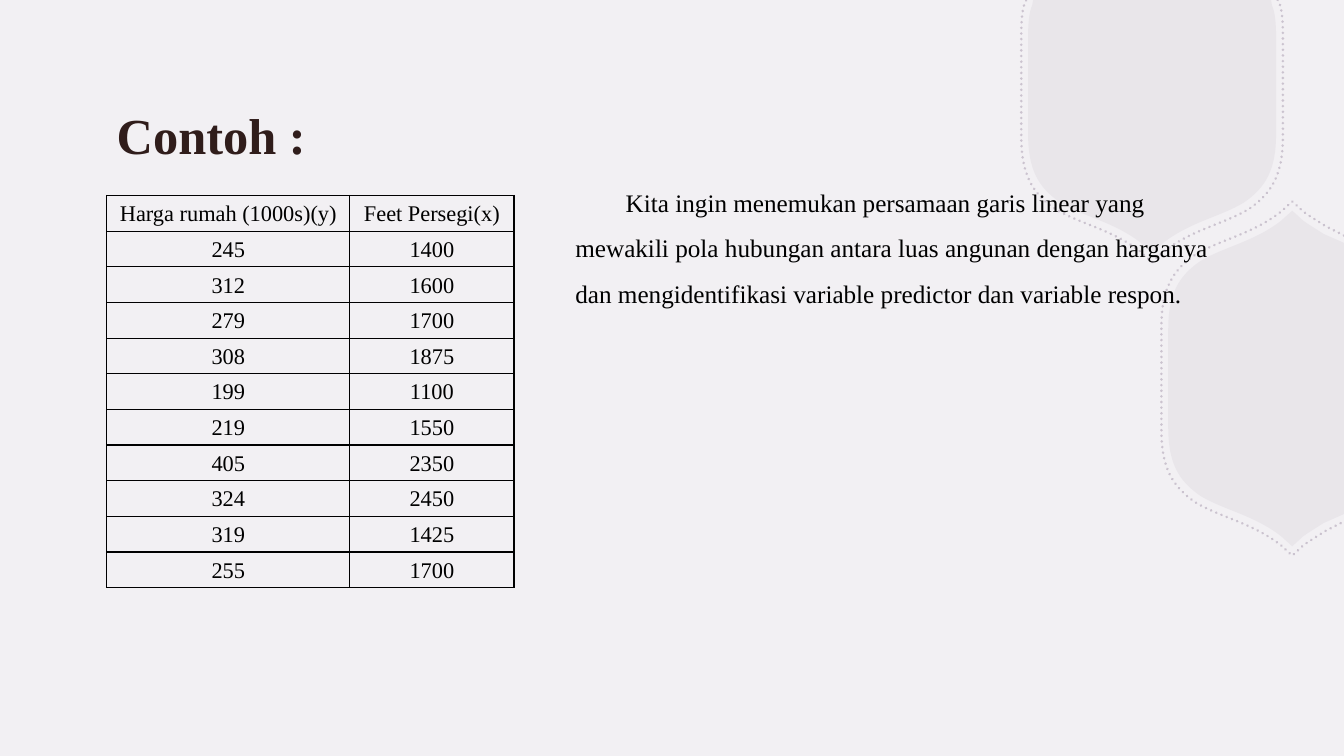
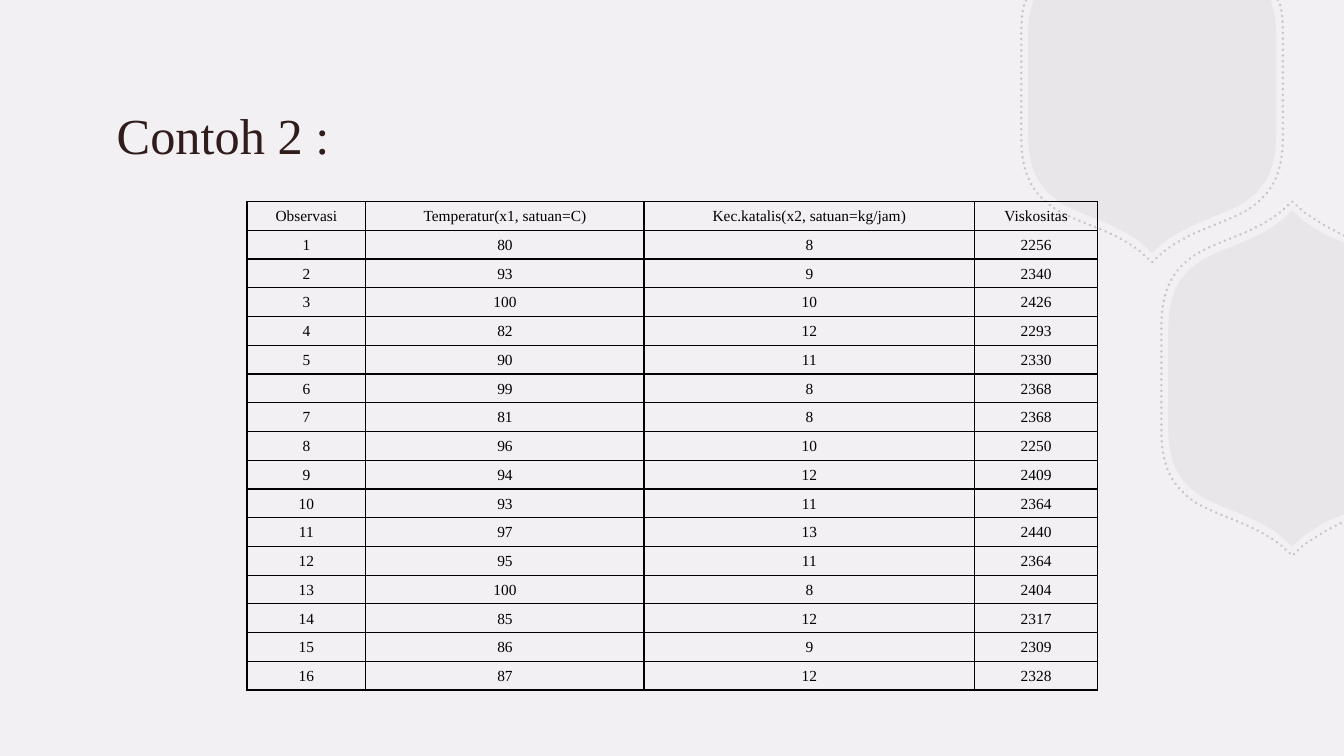
import pptx
import pptx.dml.color
import pptx.enum.dml
import pptx.enum.text
import pptx.oxml.ns
import pptx.util
from lxml import etree

Inches, Pt = pptx.util.Inches, pptx.util.Pt
qn = pptx.oxml.ns.qn
MIDDLE = pptx.enum.text.MSO_ANCHOR.MIDDLE
CENTER = pptx.enum.text.PP_ALIGN.CENTER

SLIDE_W, SLIDE_H = 40 / 3, 7.5
FONT = "Times New Roman"
PAPER, MAUVE, BROWN, BLACK = "F2F0F3", "B8ADBD", "301D1B", "000000"

# Half hexagons around their centre: points, and lines (L) or curves (C) through them
QUARTER = [(0, 1.665), (0.11, 1.565), (0.38, 1.355), (0.68, 1.305), (0.91, 1.165),
           (1.13, 1.015), (1.23, 0.835), (1.23, 0.485)]
RIGHT_HALF = [(1.18, -0.845), (1.19, -0.79), (1.22, -0.725), (1.23, -0.615),
              (1.23, -0.485)] + QUARTER[::-1]
TOP_HALF = [(0.52, -1.345), (0.31, -1.435), (0.25, -1.475), (0.18, -1.515),
            (0.11, -1.565)] + [(-x, -y) for x, y in QUARTER] + [(-1.23, 0)]
# Centre, half outline, its kinds of segment, and the signs that mirror it
HEXAGONS = [
    (11.43, 0.845, RIGHT_HALF, "LCLCCL", (-1, 1)),
    (12.82, 3.755, TOP_HALF, "LCLLCCL", (1, -1)),
]

HOUSES = [
    ("Harga rumah (1000s)(y)", "Feet Persegi(x)"),
    (245, 1400), (312, 1600), (279, 1700), (308, 1875), (199, 1100),
    (219, 1550), (405, 2350), (324, 2450), (319, 1425), (255, 1700),
]
READINGS = [
    (80, 8, 2256), (93, 9, 2340), (100, 10, 2426), (82, 12, 2293),
    (90, 11, 2330), (99, 8, 2368), (81, 8, 2368), (96, 10, 2250),
    (94, 12, 2409), (93, 11, 2364), (97, 13, 2440), (95, 11, 2364),
    (100, 8, 2404), (85, 12, 2317), (86, 9, 2309), (87, 12, 2328),
]
VISCOSITY = [("Observasi", "Temperatur(x1, satuan=C)",
              "Kec.katalis(x2, satuan=kg/jam)", "Viskositas")]
VISCOSITY += [(i, *reading) for i, reading in enumerate(READINGS, 1)]


def color(value):
    return pptx.dml.color.RGBColor.from_string(value)


def set_font(p, size, value, bold=False):
    p.font.name, p.font.size, p.font.bold = FONT, Pt(size), bold
    p.font.color.rgb = color(value)


def set_alpha(sp, percent):
    for clr in sp.element.spPr.iter(qn("a:srgbClr")):
        etree.SubElement(clr, qn("a:alpha")).set("val", str(percent * 1000))


def curve_segments(sp, kinds):
    """Join three line segments into one Bezier curve for every C."""
    lines = iter(list(sp.element.spPr.iter(qn("a:lnTo"))))
    for kind in kinds:
        line = next(lines)
        if kind == "C":
            line.tag = qn("a:cubicBezTo")
            for _ in range(2):
                extra = next(lines)
                line.append(extra[0])
                extra.getparent().remove(extra)


def add_hexagon(s, cx, cy, half, kinds, mirror, scale, dotted):
    mirrored = [(x * mirror[0], y * mirror[1]) for x, y in half[-2::-1]]
    pts = [(Inches(min(cx + x * scale, SLIDE_W)), Inches(max(cy + y * scale, 0)))
           for x, y in half + mirrored]
    builder = s.shapes.build_freeform(*pts[0])
    builder.add_line_segments(pts[1:], close=not dotted)
    sp = builder.convert_to_shape()
    curve_segments(sp, kinds + kinds[::-1])
    sp.shadow.inherit = False
    if dotted:
        sp.fill.background()
        sp.line.color.rgb = color(MAUVE)
        sp.line.width = Pt(2)
        sp.line.dash_style = pptx.enum.dml.MSO_LINE.ROUND_DOT
        sp.element.spPr.find(qn("a:ln")).set("cap", "rnd")
    else:
        sp.fill.solid()
        sp.fill.fore_color.rgb = color(MAUVE)
        sp.line.fill.background()
    set_alpha(sp, 65 if dotted else 15)


def add_text(s, text, left, top, width, height):
    tf = s.shapes.add_textbox(*map(Inches, (left, top, width, height))).text_frame
    tf.word_wrap = True
    tf.text = text
    return tf


def add_base(prs, title, bold):
    """New slide with the hexagons and the title."""
    s = prs.slides.add_slide(prs.slide_layouts[6])
    for scale, dotted in ((1, False), (1.055, True)):
        for hexagon in HEXAGONS:
            add_hexagon(s, *hexagon, scale, dotted)
    tf = add_text(s, title, 1.06, 1.05, 9.93, 1.16)
    tf.vertical_anchor = MIDDLE
    tf.margin_top, tf.margin_bottom = 0, Inches(0.6)
    set_font(tf.paragraphs[0], 36, BROWN, bold)
    return s


def add_borders(cell):
    tcPr = cell._tc.get_or_add_tcPr()
    for side in "LRTB":
        ln = etree.SubElement(tcPr, qn("a:ln" + side), w=str(Pt(1)))
        fill = etree.SubElement(ln, qn("a:solidFill"))
        etree.SubElement(fill, qn("a:srgbClr"), val=BLACK)


def add_data_table(s, rows, left, top, height, widths, size):
    box = map(Inches, (left, top, sum(widths), height))
    table = s.shapes.add_table(len(rows), len(widths), *box).table
    table.first_row = table.horz_banding = False
    for column, width in zip(table.columns, widths):
        column.width = Inches(width)
    for r, values in enumerate(rows):
        table.rows[r].height = Inches(height / len(rows))
        for c, value in enumerate(values):
            cell = table.cell(r, c)
            cell.text = str(value)
            cell.vertical_anchor = MIDDLE
            cell.margin_left = cell.margin_right = Inches(0.07)
            cell.margin_top = cell.margin_bottom = 0
            add_borders(cell)
            cell.fill.background()
            p = cell.text_frame.paragraphs[0]
            p.alignment, p.line_spacing = CENTER, 1.07
            set_font(p, size, BLACK)


def add_explanation(s, text, left, top, width, height):
    p = add_text(s, text, left, top, width, height).paragraphs[0]
    p.line_spacing, p.space_after = 1.5, Pt(8)
    p._p.get_or_add_pPr().set("indent", str(Inches(0.5)))
    set_font(p, 18, BLACK)


def house_slide(prs):
    s = add_base(prs, "Contoh :", True)
    add_data_table(s, HOUSES, 1.06, 1.94, 3.89, (2.41, 1.63), 16)
    add_explanation(
        s, "Kita ingin menemukan persamaan garis linear yang mewakili pola hubungan "
        "antara luas angunan dengan harganya dan mengidentifikasi variable predictor "
        "dan variable respon.", 5.61, 1.66, 6.67, 1.42)


def viscosity_slide(prs):
    s = add_base(prs, "Contoh 2 :", False)
    add_data_table(s, VISCOSITY, 2.45, 2, 4.85, (1.18, 2.76, 3.28, 1.22), 11)


def main():
    prs = pptx.Presentation()
    prs.slide_width, prs.slide_height = Inches(SLIDE_W), Inches(SLIDE_H)
    background = prs.slide_master.background.fill
    background.solid()
    background.fore_color.rgb = color(PAPER)
    house_slide(prs)
    viscosity_slide(prs)
    prs.save("out.pptx")


if __name__ == "__main__":
    main()
